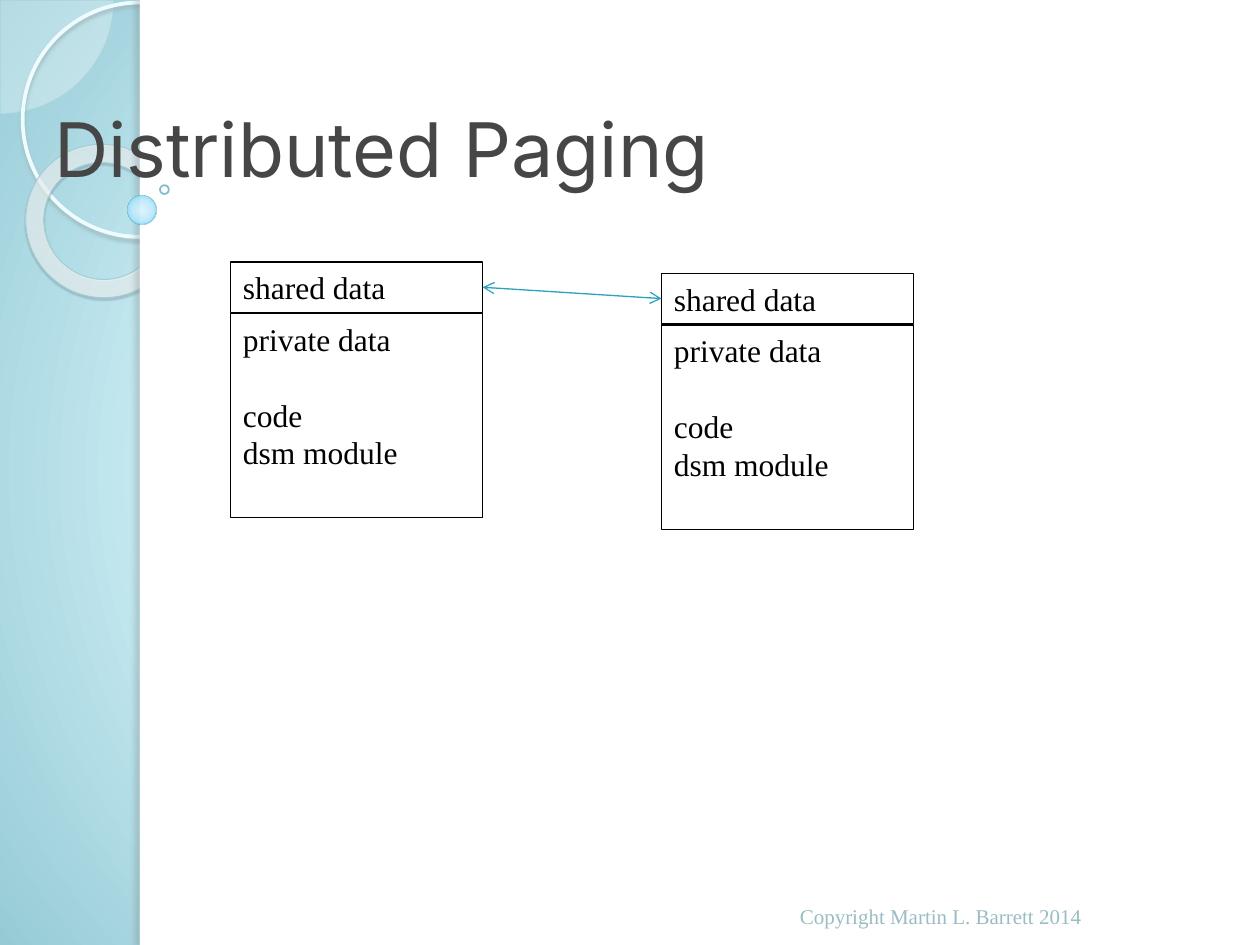
from lxml import etree
from pptx import Presentation
from pptx.dml.color import RGBColor
from pptx.enum import shapes, text
from pptx.oxml import ns
from pptx.util import Inches, Pt

KIND = shapes.MSO_SHAPE
SERIF = "Times New Roman"


def color(value):
    return RGBColor.from_string(value)


def add_node(parent, tag, **attributes):
    node = etree.SubElement(parent, ns.qn(tag))
    for key, value in attributes.items():
        node.set(key, str(value))
    return node


def percent(value):
    return round(value * 1000)


def add_color(parent, value, opacity=100):
    node = add_node(parent, "a:srgbClr", val=value)
    if opacity < 100:
        add_node(node, "a:alpha", val=percent(opacity))


def set_gradient(owner, root, stops, focus):
    owner.fill.solid()
    solid = root.find(".//" + ns.qn("a:solidFill"))
    gradient = etree.Element(ns.qn("a:gradFill"), rotWithShape="1")
    stop_list = add_node(gradient, "a:gsLst")
    for position, *tint in stops:
        add_color(add_node(stop_list, "a:gs", pos=percent(position)), *tint)
    path = add_node(gradient, "a:path", path="circle")
    left, top, right, bottom = focus
    add_node(path, "a:fillToRect", l=percent(left), t=percent(top),
             r=percent(100 - right), b=percent(100 - bottom))
    solid.getparent().replace(solid, gradient)


def set_shadow(shape, value, opacity, blur, distance, angle):
    effects = shape.element.spPr.find(ns.qn("a:effectLst"))
    shadow = add_node(effects, "a:outerShdw", blurRad=Pt(blur), dist=Pt(distance),
                      dir=angle * 60000, algn="ctr", rotWithShape=0)
    add_color(shadow, value, opacity)


def add_box(page, kind, box, fill=None, opacity=100, line=None, width=0.75,
            line_opacity=100, adjust=()):
    shape = page.shapes.add_shape(kind, *map(Inches, box))
    shape.shadow.inherit = False
    for index, value in enumerate(adjust):
        shape.adjustments[index] = value
    for target, value, alpha in ((shape.fill, fill, opacity),
                                 (shape.line.fill, line, line_opacity)):
        if value is None:
            target.background()
            continue
        target.solid()
        target.fore_color.rgb = color(value)
        if alpha < 100:
            parent = shape.element.spPr if target is shape.fill else shape.line._ln
            tint = parent.find(ns.qn("a:solidFill"))[0]
            add_node(tint, "a:alpha", val=percent(alpha))
    if line:
        shape.line.width = Pt(width)
    return shape


def write(shape, *lines, size=18, font=SERIF, ink="000000",
          anchor=text.MSO_ANCHOR.TOP, gaps=None):
    frame = shape.text_frame
    frame.word_wrap = True
    frame.auto_size = text.MSO_AUTO_SIZE.NONE
    frame.vertical_anchor = anchor
    for index, line in enumerate(lines):
        para = frame.add_paragraph() if index else frame.paragraphs[0]
        para.alignment = text.PP_ALIGN.LEFT
        para.space_before = Pt((gaps or {}).get(index, 0))
        span = para.add_run()
        span.text = line
        span.font.size = Pt(size)
        span.font.name = font
        span.font.color.rgb = color(ink)


def add_side_panel(page, left, top, width, height):
    set_gradient(page.background, page.element,
                 [(0, "E9FBFF"), (40, "DFF9FF"), (100, "96CBD6")],
                 (-24, -20, 124, 120))
    add_box(page, KIND.PIE, (left - 0.89, top - 0.89, 1.79, 1.79), "F9FEFF", 33,
            "B2DAE2", 0.25, adjust=(0, 54.02))
    ring = add_box(page, KIND.OVAL, (left + 0.18, top + 0.02, 1.86, 1.86),
                   line="EFFCFF", width=2.15)
    set_shadow(ring, "9FB9BE", 85, 2, 2, 90)
    donut = add_box(page, KIND.DONUT, (left + 0.2, top + 1.15, 1.23, 1.21),
                    line="A4CDD6", width=0.58, adjust=(0.12,))
    donut.rotation = 38.6
    set_gradient(donut, donut.element.spPr,
                 [(0, "F9FEFF", 70), (70, "FDFFFF", 55), (100, "A3EEFE", 60)],
                 (-408, -50, 508, 150))
    set_shadow(donut, "4C5D61", 35, 1, 1.2, 75)
    edge = left + width
    add_box(page, KIND.RECTANGLE, (edge, top, 10 - edge, height), "FFFFFF")
    strip = add_box(page, KIND.RECTANGLE, (edge, top, 0.08, height), "FFFFFF")
    set_shadow(strip, "6E7A7D", 25, 3, 3, 180)
    bead = add_box(page, KIND.OVAL, (edge - 0.1, top + 1.55, 0.23, 0.23),
                   line="249FBD", width=0.16, line_opacity=60)
    set_gradient(bead, bead.element.spPr,
                 [(0, "DDF4FF", 95), (50, "BDE9FC", 90), (95, "61D3FF", 88),
                  (100, "00B5E1", 85)], (25, 12, 75, 88))
    add_box(page, KIND.OVAL, (edge + 0.16, top + 1.47, 0.07, 0.07),
            line="288FA9", width=1, line_opacity=60)


def add_title(page, *box):
    title = page.shapes.title
    title.left, title.top, title.width, title.height = map(Inches, box)
    write(title, "Distributed Paging", size=43, font="Inter", ink="464646",
          anchor=text.MSO_ANCHOR.BOTTOM)
    title.element.getparent().append(title.element)


def add_footer(page, *box):
    footer = page.shapes.add_textbox(*map(Inches, box))
    write(footer, "Copyright Martin L. Barrett 2014", size=12, ink="9ABCC3",
          anchor=text.MSO_ANCHOR.BOTTOM)


def add_memory(page, left, top, width):
    shared = add_box(page, KIND.RECTANGLE, (left, top, width, 0.4), line="000000")
    write(shared, "shared data")
    private = add_box(page, KIND.RECTANGLE, (left, top + 0.41, width, 1.62),
                      line="000000")
    write(private, "private data", "code", "dsm module", gaps={1: 21.6})
    return shared


def add_link(page, start, end):
    link = page.shapes.add_connector(shapes.MSO_CONNECTOR.STRAIGHT, 0, 0, 0, 0)
    link.begin_connect(start, 3)
    link.end_connect(end, 1)
    link.line.color.rgb = color("2DA2BF")
    link.line.width = Pt(0.75)
    for tag in ("a:headEnd", "a:tailEnd"):
        add_node(link.line._ln, tag, type="arrow")
    add_node(link.element.spPr, "a:effectLst")


deck = Presentation()
deck.slide_width, deck.slide_height = Inches(10), Inches(7.5)
page = deck.slides.add_slide(deck.slide_layouts[5])
add_side_panel(page, 0, 0, 1.11, 7.5)
add_title(page, 0.33, 0.5, 9, 1.08)
add_footer(page, 6.25, 6.9, 3.17, 0.52)
first = add_memory(page, 1.83, 2.08, 2)
second = add_memory(page, 5.25, 2.17, 2)
add_link(page, first, second)
deck.save("out.pptx")
